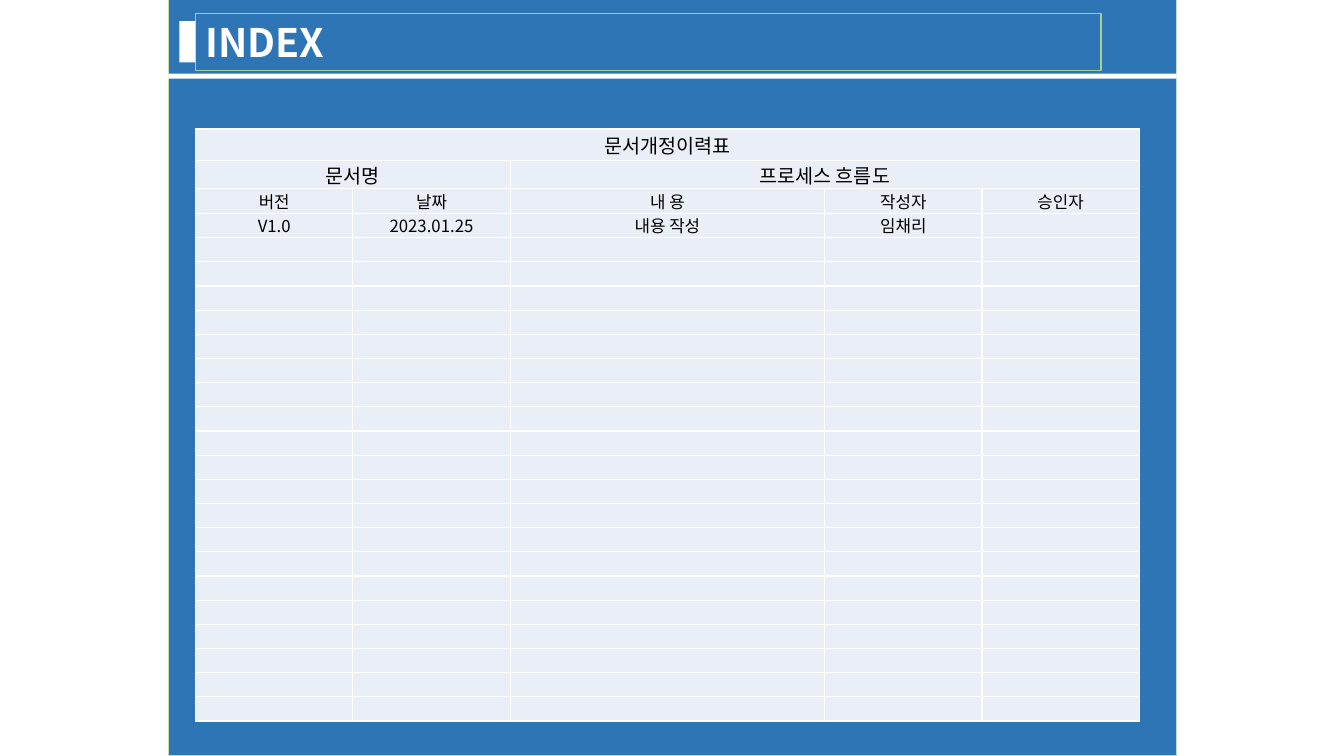
from dataclasses import dataclass

from lxml.etree import SubElement
from pptx import Presentation
from pptx.dml.color import RGBColor as RGB
from pptx.enum.shapes import MSO_SHAPE as Shape
from pptx.enum.text import MSO_ANCHOR as Anchor, PP_ALIGN as Align
from pptx.oxml.ns import qn
from pptx.util import Inches, Pt


@dataclass(frozen=True)
class Theme:
    font: str = "Noto Sans CJK KR"
    blue: str = "2E75B6"
    mint: str = "C5E0B4"
    green: str = "A9D18E"
    pale: str = "EAEFF7"
    white: str = "FFFFFF"
    black: str = "000000"
    title: int = 28
    head: int = 14
    body: int = 12
    blank: int = 10


THEME = Theme()
COLS = [1.56, 1.56, 3.12, 1.56, 1.56]
ROWS = [0.31, 0.24, 0.22] + [0.24] * 21
SPANS = [(0, 0, 4), (1, 0, 1), (1, 2, 4)]
TEXTS = [
    ["문서개정이력표"],
    ["문서명", "", "프로세스 흐름도"],
    ["버전", "날짜", "내 용", "작성자", "승인자"],
    ["V1.0", "2023.01.25", "내용 작성", "임채리"],
]


def style(para, size, color, align, bold=False):
    para.alignment = align
    for run in para.runs:
        font = run.font
        font.name, font.size, font.bold = THEME.font, Pt(size), bold
        font.color.rgb = RGB.from_string(color)
        SubElement(font._element, qn("a:ea"), typeface=THEME.font)


def rect(slide, box, fill=None, line=None):
    shape = slide.shapes.add_shape(Shape.RECTANGLE, *map(Inches, box))
    shape.shadow.inherit = False
    if fill:
        shape.fill.solid()
        shape.fill.fore_color.rgb = RGB.from_string(fill)
    else:
        shape.fill.background()
    if line:
        shape.line.color.rgb = RGB.from_string(line)
        shape.line.width = Pt(0)
    else:
        shape.line.fill.background()
    return shape


def banner(slide, box):
    """Title frame with a tab on its left and a rule across the page."""
    left, top, width, height = box
    title = rect(slide, (left + 0.27, top + 0.13, 8.98, 0.57), line=THEME.green)
    frame = title.text_frame
    frame.text = "INDEX"
    frame.vertical_anchor = Anchor.MIDDLE
    style(frame.paragraphs[0], THEME.title, THEME.white, Align.LEFT, True)
    rect(slide, (left + 0.11, top + 0.21, 0.16, 0.41), THEME.white)
    rect(slide, (left, top + height - 0.05, width, 0.05), THEME.white)


def border(cell):
    props = cell._tc.get_or_add_tcPr()
    for i, side in enumerate(("lnL", "lnR", "lnT", "lnB")):
        line = props.makeelement(qn(f"a:{side}"), {"w": str(Pt(1))})
        fill = SubElement(line, qn("a:solidFill"))
        SubElement(fill, qn("a:srgbClr"), val=THEME.white)
        props.insert(i, line)


def fill_cell(cell, text, size):
    cell.fill.solid()
    cell.fill.fore_color.rgb = RGB.from_string(THEME.pale)
    border(cell)
    cell.margin_left = cell.margin_right = 0
    cell.margin_top = cell.margin_bottom = 0
    cell.vertical_anchor = Anchor.MIDDLE
    para = cell.text_frame.paragraphs[0]
    if text:
        para.text = text
        style(para, size, THEME.black, Align.CENTER)
    else:
        SubElement(para._p, qn("a:endParaRPr"), sz=str(THEME.blank * 100))


def history(slide, box):
    """Revision table; rows without text stay blank."""
    shape = slide.shapes.add_table(len(ROWS), len(COLS), *map(Inches, box))
    table = shape.table
    table.first_row = table.horz_banding = False
    for col, width in zip(table.columns, COLS):
        col.width = Inches(width)
    for r, height in enumerate(ROWS):
        table.rows[r].height = Inches(height)
        words = TEXTS[r] if r < len(TEXTS) else []
        size = THEME.head if r < 2 else THEME.body
        for c in range(len(COLS)):
            fill_cell(table.cell(r, c), words[c] if c < len(words) else "", size)
    for r, first, last in SPANS:
        table.cell(r, first).merge(table.cell(r, last))


def main():
    deck = Presentation()
    deck.slide_width, deck.slide_height = Inches(13.33), Inches(7.5)
    slide = deck.slides.add_slide(deck.slide_layouts[6])
    rect(slide, (1.67, 0, 10, 7.5), THEME.blue, THEME.mint)
    banner(slide, (1.67, 0, 10, 0.78))
    history(slide, (1.94, 1.28, sum(COLS), sum(ROWS)))
    deck.save("out.pptx")


if __name__ == "__main__":
    main()
